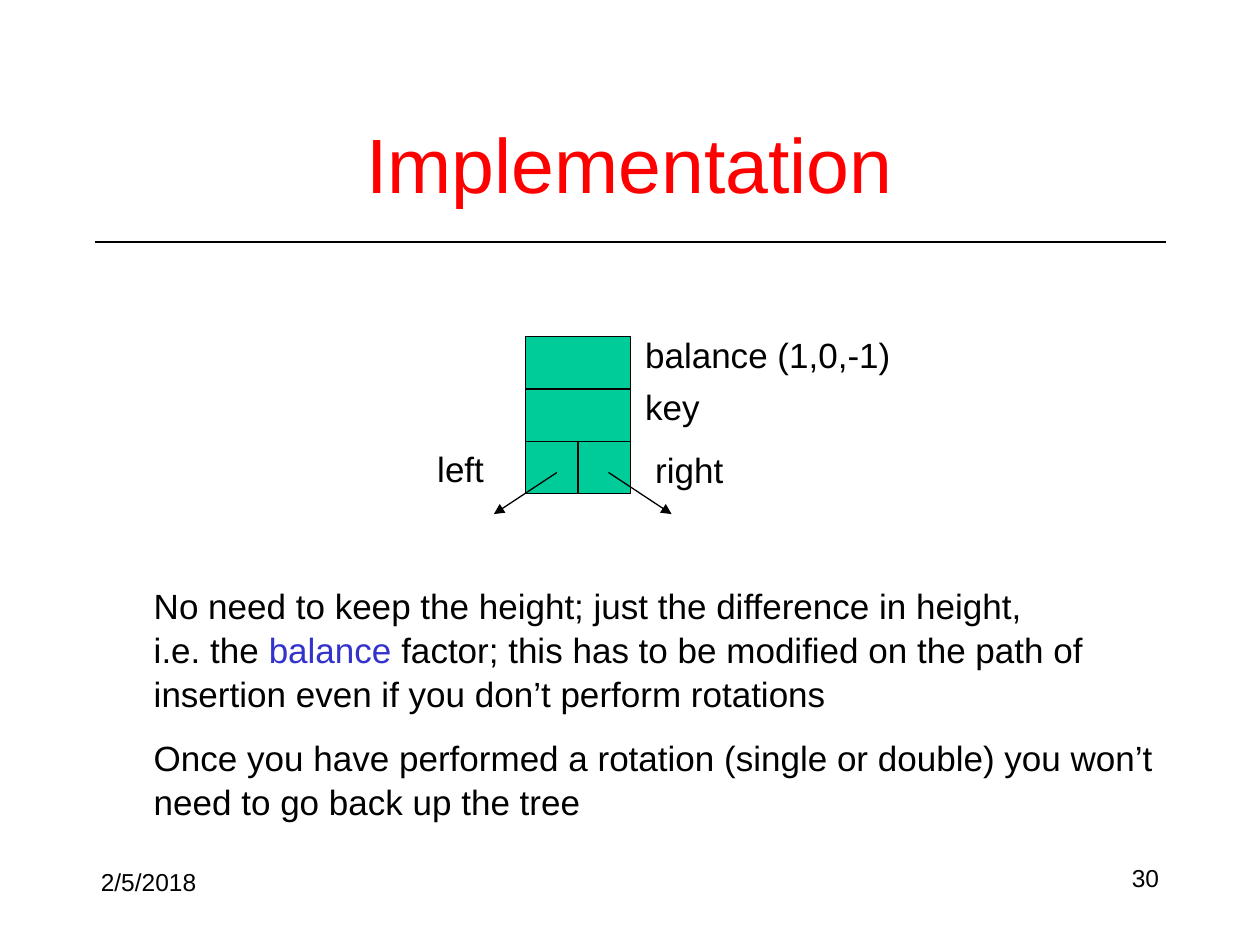
from dataclasses import dataclass

from lxml.etree import SubElement
from pptx import Presentation
from pptx.dml.color import RGBColor as RGB
from pptx.enum.shapes import MSO_CONNECTOR as Link, MSO_SHAPE as Kind
from pptx.enum.text import MSO_ANCHOR as Anchor, MSO_AUTO_SIZE as Fit, PP_ALIGN as Align
from pptx.oxml.ns import qn
from pptx.util import Inches, Pt


@dataclass(frozen=True)
class Theme:
    font: str = "Arial"
    ink: RGB = RGB(0, 0, 0)
    title: RGB = RGB(0xFF, 0, 0)
    accent: RGB = RGB(0x33, 0x33, 0xCC)
    node: RGB = RGB(0, 0xCC, 0x99)
    head: int = 44
    body: int = 20
    foot: int = 14
    line: float = 0.75


THEME = Theme()
CELL = 5 / 12  # side of a pointer cell; the wide cells are two across
LEFT, TOP = 4.17, 2.67


def write(frame, paras, size=THEME.body, color=THEME.ink, align=Align.LEFT,
          anchor=Anchor.TOP, wrap=True, fit=Fit.NONE, gap=0, lead=None):
    """Fill a frame with paragraphs, each a list of (text, color or None) runs."""
    frame.word_wrap = wrap
    frame.auto_size = fit
    frame.vertical_anchor = anchor
    frame.margin_left = frame.margin_right = Inches(0.05)
    frame.margin_top = frame.margin_bottom = Inches(0.05)
    for i, runs in enumerate(paras):
        para = frame.add_paragraph() if i else frame.paragraphs[0]
        para.alignment = align
        para.space_before = Pt(gap if i else 0)
        if lead:
            para.line_spacing = lead
        for text, tint in runs:
            start = len(para.runs)
            for j, part in enumerate(text.split("\n")):
                if j:
                    para.add_line_break()
                para.add_run().text = part
            for run in para.runs[start:]:
                run.font.name = THEME.font
                run.font.size = Pt(size)
                run.font.color.rgb = tint or color


def label(slide, text, x, y, w, h, **form):
    box = slide.shapes.add_textbox(Inches(x), Inches(y), Inches(w), Inches(h))
    paras = [[(text, None)]] if isinstance(text, str) else text
    write(box.text_frame, paras, **form)


def cell(slide, col, row, span=1):
    box = slide.shapes.add_shape(
        Kind.RECTANGLE, Inches(LEFT + col * CELL), Inches(TOP + row * CELL),
        Inches(span * CELL), Inches(CELL))
    box.shadow.inherit = False
    box.fill.solid()
    box.fill.fore_color.rgb = THEME.node
    box.line.color.rgb = THEME.ink
    box.line.width = Pt(THEME.line)


def line(slide, x1, y1, x2, y2, arrow=False):
    link = slide.shapes.add_connector(
        Link.STRAIGHT, Inches(x1), Inches(y1), Inches(x2), Inches(y2))
    link.line.color.rgb = THEME.ink
    link.line.width = Pt(THEME.line)
    if arrow:
        SubElement(link.line._get_or_add_ln(), qn("a:tailEnd"), type="triangle")
    SubElement(link._element.spPr, qn("a:effectLst"))


def heading(slide, text):
    title = slide.shapes.title
    title.left, title.top = Inches(0.75), Inches(0.67)
    title.width, title.height = Inches(8.5), Inches(1.25)
    write(title.text_frame, [[(text, None)]], size=THEME.head, color=THEME.title,
          align=Align.CENTER, anchor=Anchor.MIDDLE)
    line(slide, 0.75, 1.92, 9.25, 1.92)


def node(slide):
    """Draw the record of a tree node with its fields and child pointers."""
    cell(slide, 0, 2)
    cell(slide, 1, 2)
    cell(slide, 0, 1, span=2)
    for x, step in ((4.42, -0.5), (4.83, 0.5)):
        line(slide, x, 3.75, x + step, 4.08, arrow=True)
    cell(slide, 0, 0, span=2)
    for text, x, y, w in (("balance (1,0,-1)", 5.07, 2.6, 2.06),
                          ("key", 5.07, 3.01, 0.55),
                          ("right", 5.15, 3.51, 0.65),
                          ("left", 3.42, 3.5, 0.48)):
        label(slide, text, x, y, w, 0.41, wrap=False, fit=Fit.SHAPE_TO_FIT_TEXT)


def main():
    deck = Presentation()
    deck.slide_width, deck.slide_height = Inches(10), Inches(7.5)
    slide = deck.slides.add_slide(deck.slide_layouts[5])
    heading(slide, "Implementation")
    node(slide)
    notes = [
        [("No need to keep the height; just the difference in height,\ni.e. the ", None),
         ("balance", THEME.accent),
         (" factor; this has to be modified on the path of insertion "
          "even if you don’t perform rotations", None)],
        [("Once you have performed a rotation (single or double) you won’t "
          "need to go back up the tree", None)],
    ]
    label(slide, notes, 1.17, 4.58, 8.25, 1.85, gap=12, lead=1.04,
          fit=Fit.SHAPE_TO_FIT_TEXT)
    label(slide, "2/5/2018", 0.75, 6.83, 2.08, 0.34, size=THEME.foot,
          fit=Fit.SHAPE_TO_FIT_TEXT)
    label(slide, "30", 7.17, 6.83, 2.08, 0.32, size=THEME.foot,
          align=Align.RIGHT, lead=0.9)
    deck.save("out.pptx")


if __name__ == "__main__":
    main()
